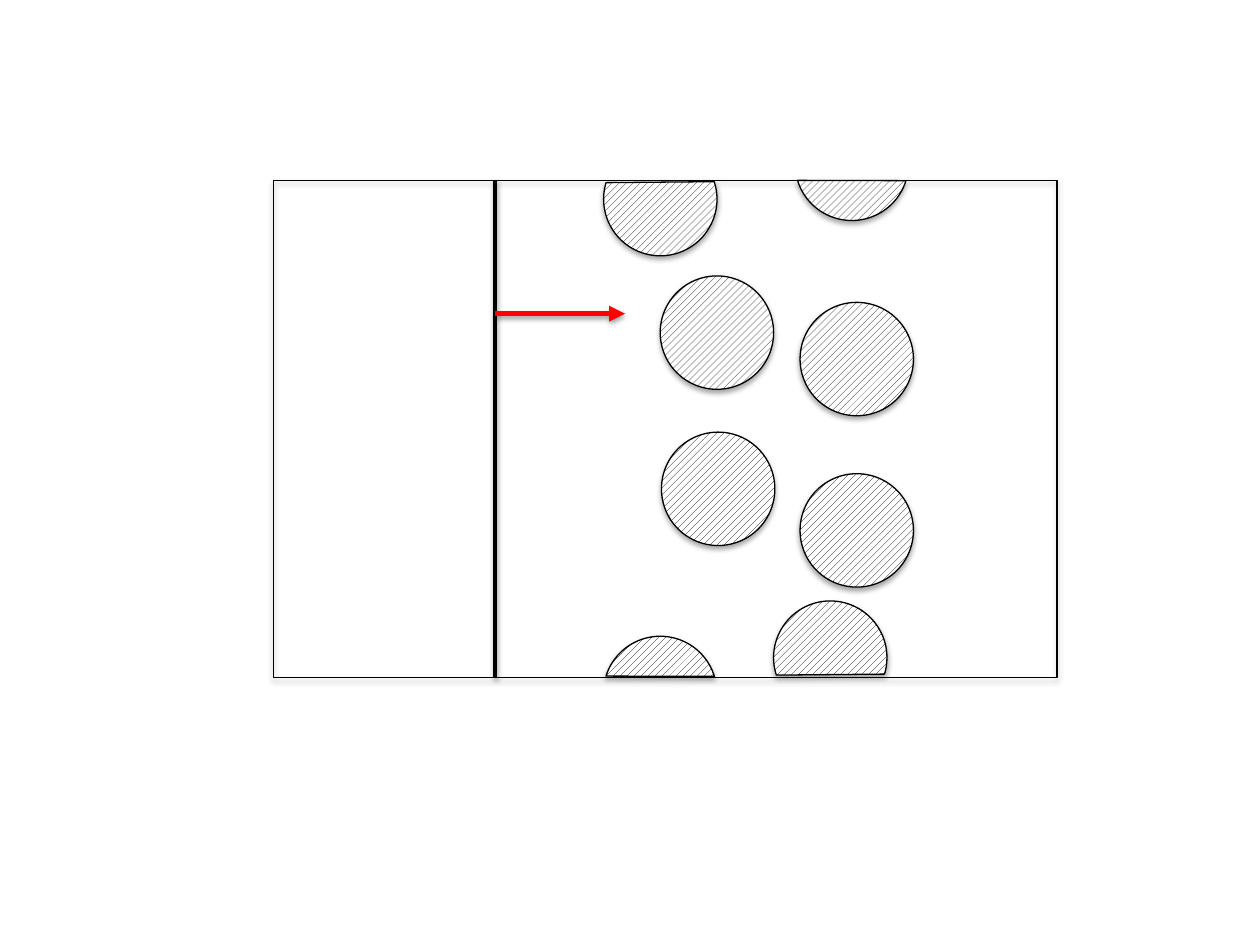
from lxml.etree import SubElement
from pptx import Presentation
from pptx.dml.color import RGBColor
from pptx.enum.dml import MSO_PATTERN
from pptx.enum.shapes import MSO_CONNECTOR, MSO_SHAPE
from pptx.oxml.ns import qn
from pptx.util import Inches, Pt

BLACK = RGBColor(0x00, 0x00, 0x00)
WHITE = RGBColor(0xFF, 0xFF, 0xFF)
RED = RGBColor(0xFF, 0x00, 0x00)

DIAMETER = 0.9
# Start and end angles of the chords, in the unit of shape.adjustments
LARGE_CUT = (97.243, 10.12)
SMALL_CUT = (118.373, 205.806)


class Diagram:
    """Holds the current slide and draws its outlined, shadowed elements."""

    outline = Pt(0.75)

    def __init__(self, slide):
        self.slide = slide

    def add_shadow(self, effects, distance, opacity):
        shadow = SubElement(effects, qn("a:outerShdw"), blurRad=str(Pt(3.1)),
                            dist=str(Pt(distance)), dir="5400000", rotWithShape="0")
        color = SubElement(shadow, qn("a:srgbClr"), val=str(BLACK))
        SubElement(color, qn("a:alpha"), val=str(opacity * 1000))

    def outlined(self, kind, left, top, width, height):
        shape = self.slide.shapes.add_shape(
            kind, Inches(left), Inches(top), Inches(width), Inches(height))
        shape.fill.background()
        shape.line.color.rgb = BLACK
        shape.line.width = self.outline
        shape.shadow.inherit = False
        effects = shape._element.spPr.find(qn("a:effectLst"))
        self.add_shadow(effects, 1.8, 35)
        return shape

    def disc(self, left, top, cut=None, rotation=0):
        kind = MSO_SHAPE.CHORD if cut else MSO_SHAPE.OVAL
        disc = self.outlined(kind, left, top, DIAMETER, DIAMETER)
        if cut:
            disc.adjustments[0], disc.adjustments[1] = cut
        disc.rotation = rotation
        disc.fill.patterned()
        disc.fill.pattern = MSO_PATTERN.WIDE_UPWARD_DIAGONAL
        disc.fill.fore_color.rgb = BLACK
        disc.fill.back_color.rgb = WHITE

    def line(self, start, end, color, width, arrow=False):
        line = self.slide.shapes.add_connector(
            MSO_CONNECTOR.STRAIGHT, *map(Inches, start + end))
        line.line.color.rgb = color
        line.line.width = Pt(width)
        if arrow:
            SubElement(line.line._get_or_add_ln(), qn("a:tailEnd"), type="triangle")
        effects = SubElement(line._element.spPr, qn("a:effectLst"))
        self.add_shadow(effects, 1.6, 38)


def main():
    deck = Presentation()
    deck.slide_width, deck.slide_height = Inches(10), Inches(7.5)
    diagram = Diagram(deck.slides.add_slide(deck.slide_layouts[6]))

    # Channel with the moving front
    front_x, channel_top, channel_height = 3.93, 1.43, 3.95
    diagram.outlined(MSO_SHAPE.RECTANGLE, 2.17, channel_top, 6.22, channel_height)
    diagram.line((front_x, channel_top), (front_x, channel_top + channel_height),
                 BLACK, 2)
    diagram.line((front_x, 2.49), (4.96, 2.49), RED, 3, arrow=True)

    # Whole discs
    for left, top in ((5.24, 2.19), (6.35, 2.4), (5.25, 3.43), (6.35, 3.76)):
        diagram.disc(left, top)

    # Discs cut by the top wall, turned upside down
    diagram.disc(4.79, 1.13, LARGE_CUT, 180)
    diagram.disc(6.31, 0.85, SMALL_CUT, 180)

    # Discs cut by the bottom wall
    diagram.disc(4.79, 5.05, SMALL_CUT)
    diagram.disc(6.14, 4.77, LARGE_CUT)

    deck.save("out.pptx")


if __name__ == "__main__":
    main()
